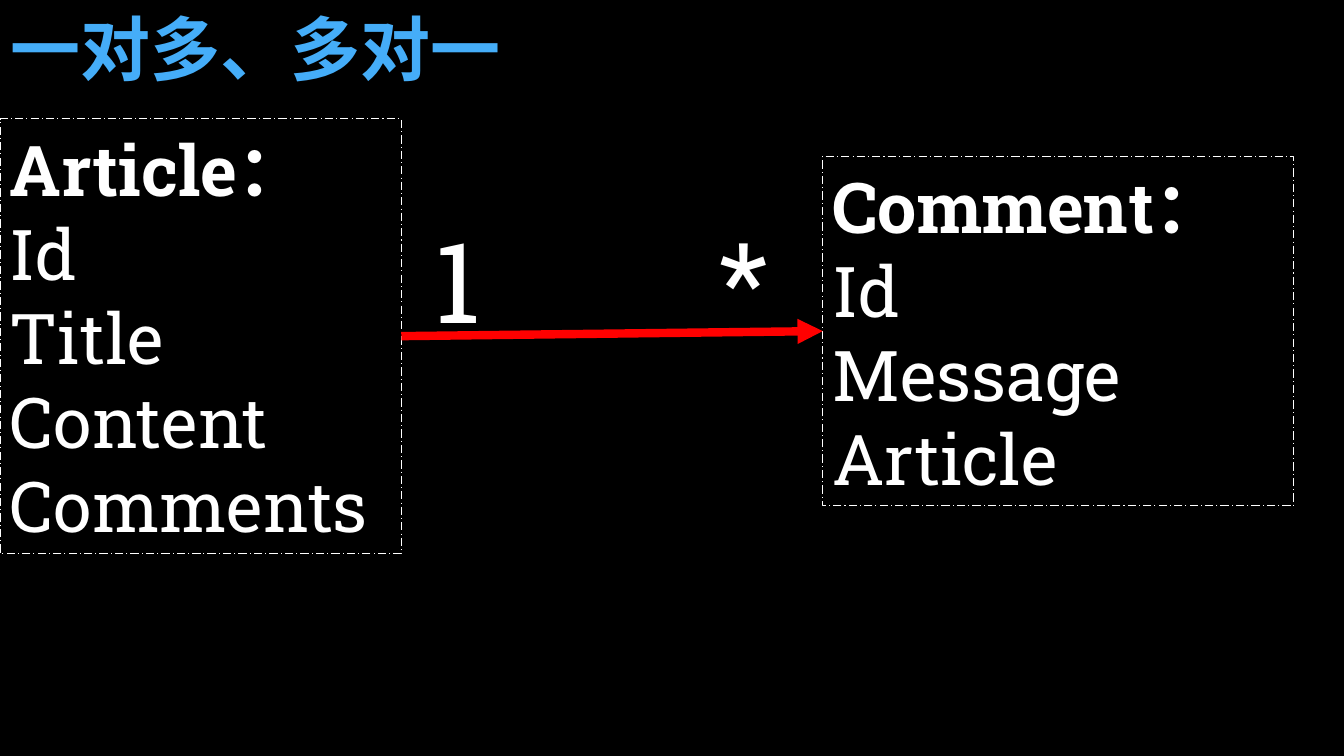
from lxml import etree
from pptx import Presentation
from pptx.dml.color import RGBColor
from pptx.enum.dml import MSO_LINE
from pptx.enum.shapes import MSO_CONNECTOR, MSO_SHAPE
from pptx.enum.text import MSO_ANCHOR, MSO_AUTO_SIZE, PP_ALIGN
from pptx.oxml.ns import qn
from pptx.util import Inches, Pt

BLACK = RGBColor(0x00, 0x00, 0x00)
WHITE = RGBColor(0xFF, 0xFF, 0xFF)
BLUE = RGBColor(0x45, 0xAD, 0xF8)
RED = RGBColor(0xFF, 0x00, 0x00)
LEFT = PP_ALIGN.LEFT
TOP = MSO_ANCHOR.TOP
MIDDLE = MSO_ANCHOR.MIDDLE
NO_FIT = MSO_AUTO_SIZE.NONE
RECT = MSO_SHAPE.RECTANGLE
STRAIGHT = MSO_CONNECTOR.STRAIGHT
DASH = MSO_LINE.LONG_DASH_DOT
SLAB = "Roboto Slab"


def write(shape, lines, size, color, face, bold=False, anchor=TOP):
    """Fill a shape with left-aligned lines, the first one bold if asked."""
    frame = shape.text_frame
    frame.text = "\n".join(lines)
    frame.word_wrap = True
    frame.auto_size = NO_FIT
    frame.vertical_anchor = anchor
    for i, para in enumerate(frame.paragraphs):
        para.alignment = LEFT
        for run in para.runs:
            font = run.font
            font.name = face
            font.size = Pt(size)
            font.bold = bold and i == 0
            font.color.rgb = color


def add_title(slide, box, text):
    """Place the slide title in its box."""
    title = slide.shapes.title
    title.left, title.top, title.width, title.height = map(Inches, box)
    write(title, [text], 50, BLUE, "Calibri", bold=True)


def add_class(slide, box, name, fields):
    """Draw a dashed class box with its name and fields."""
    shape = slide.shapes.add_shape(RECT, *map(Inches, box))
    shape.shadow.inherit = False
    shape.fill.background()
    shape.line.color.rgb = WHITE
    shape.line.width = Pt(0.75)
    shape.line.dash_style = DASH
    write(shape, [name, *fields], 50, WHITE, SLAB, bold=True, anchor=MIDDLE)
    return shape


def add_link(slide, start, end):
    """Join two class boxes with an arrow from side to side."""
    arrow = slide.shapes.add_connector(STRAIGHT, 0, 0, 0, 0)
    arrow.begin_connect(start, 3)
    arrow.end_connect(end, 1)
    arrow.line.color.rgb = RED
    arrow.line.width = Pt(6)
    line = arrow.line._get_or_add_ln()
    etree.SubElement(line, qn("a:tailEnd"), type="triangle")
    etree.SubElement(arrow._element.spPr, qn("a:effectLst"))


def add_count(slide, box, text):
    """Write the count at one end of the arrow."""
    label = slide.shapes.add_textbox(*map(Inches, box))
    write(label, [text], 80, WHITE, SLAB)


def main():
    """Build the slide and save it."""
    deck = Presentation()
    deck.slide_width, deck.slide_height = Inches(13.33), Inches(7.5)
    slide = deck.slides.add_slide(deck.slide_layouts[5])
    slide.background.fill.solid()
    slide.background.fill.fore_color.rgb = BLACK
    add_title(slide, (0, 0, 6.39, 0.94), "一对多、多对一")
    one = add_class(slide, (0, 1.18, 3.98, 4.31), "Article：",
                    ["Id", "Title", "Content", "Comments"])
    many = add_class(slide, (8.16, 1.55, 4.67, 3.47), "Comment：",
                     ["Id", "Message", "Article"])
    add_link(slide, one, many)
    for left, text in ((7.02, "*"), (4.21, "1")):
        add_count(slide, (left, 2.05, 1.14, 1.45), text)
    deck.save("out.pptx")


if __name__ == "__main__":
    main()
